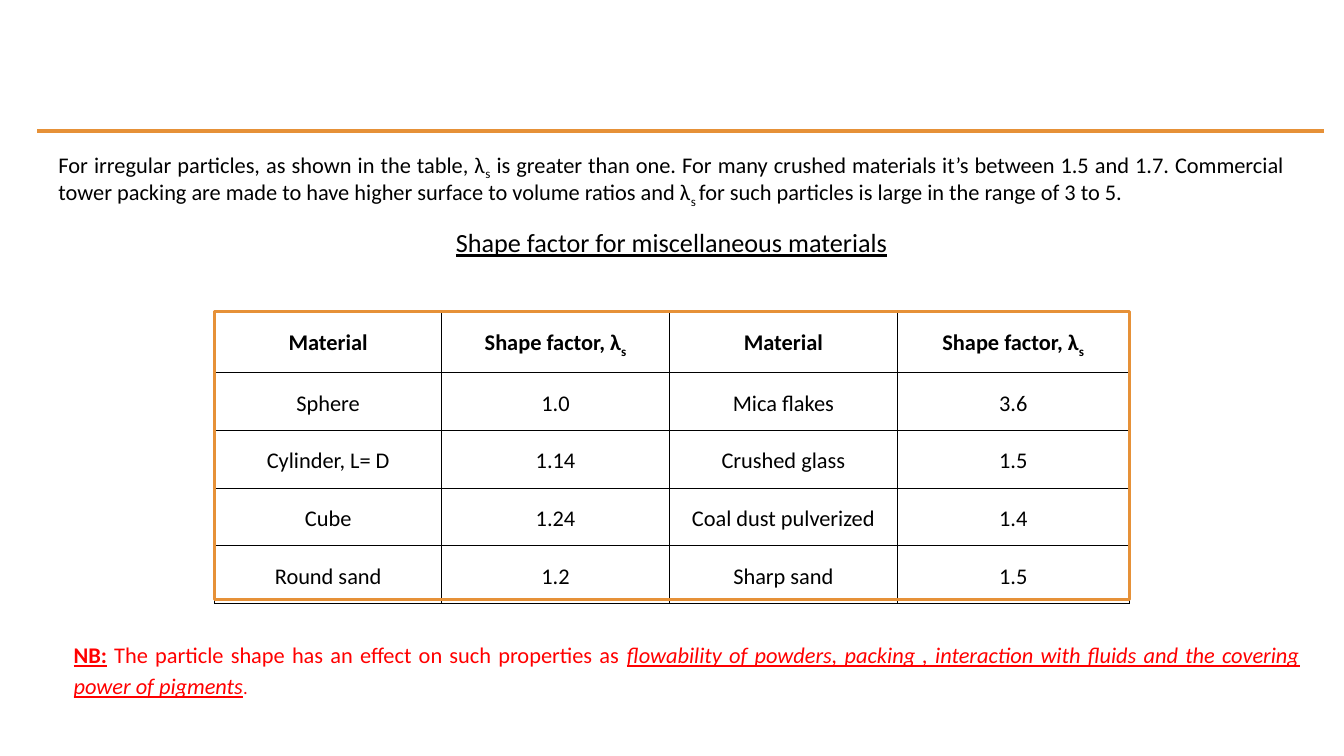
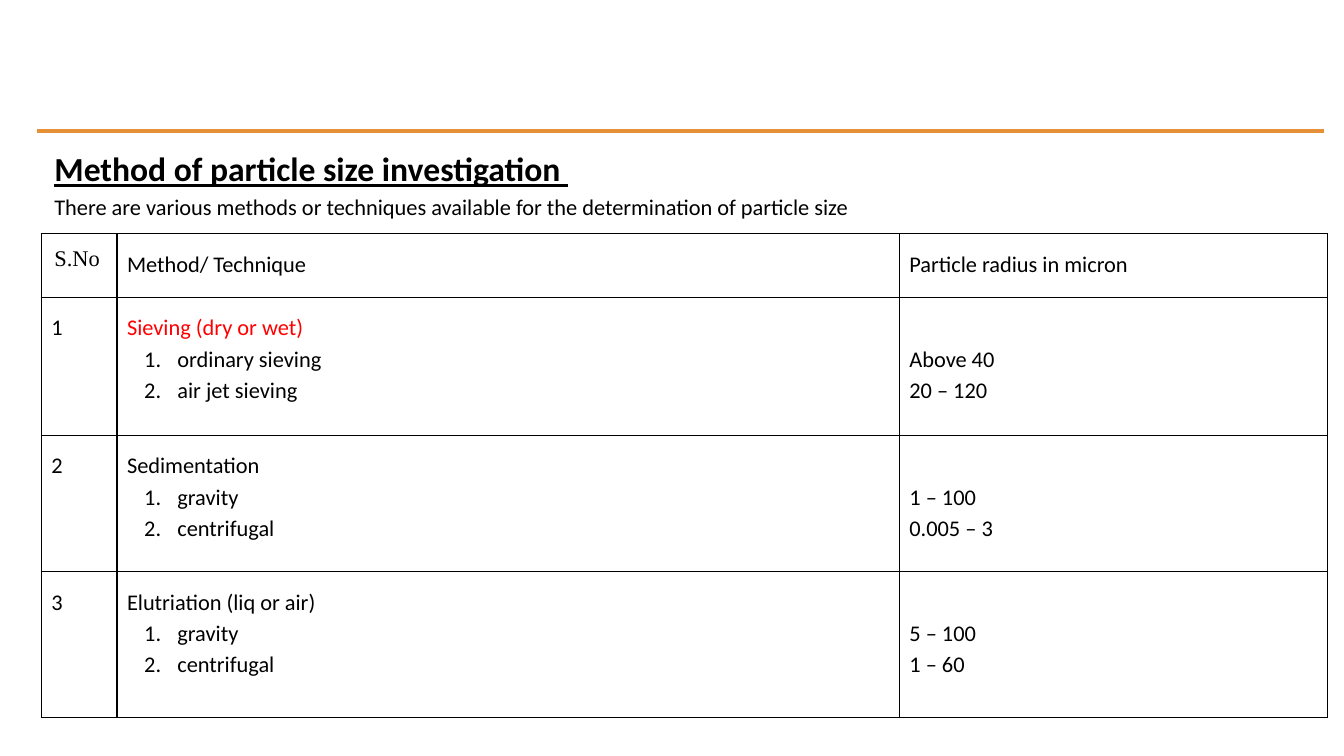
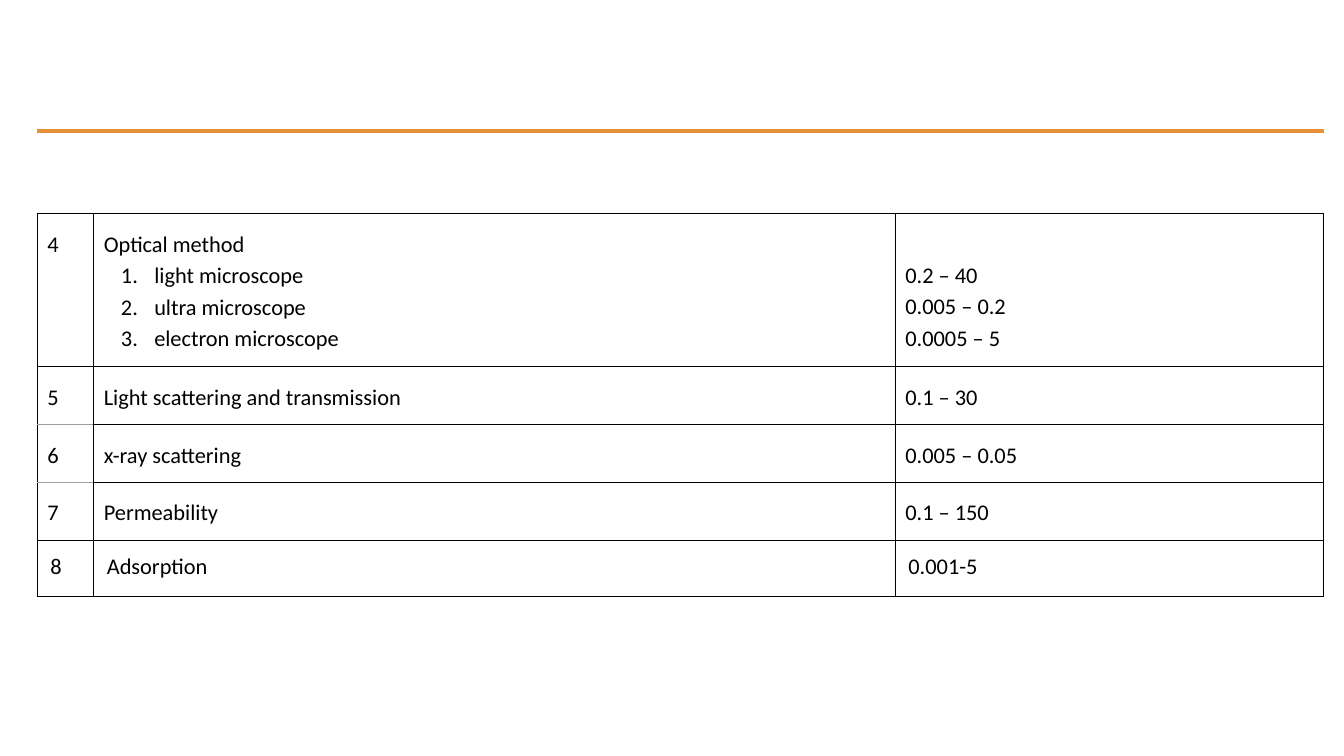
from dataclasses import dataclass, field

from lxml import etree
from pptx import Presentation
from pptx.dml.color import RGBColor
from pptx.enum import shapes, text
from pptx.oxml import ns
from pptx.util import Inches, Pt

ALIGN = text.PP_ALIGN


@dataclass(frozen=True)
class Theme:
    black: str = "000000"
    red: str = "FF0000"
    orange: str = "E69138"
    grey: str = "9E9E9E"
    font: str = "Calibri"
    serif: str = "Times New Roman"
    heading: float = 24
    caption: float = 18.7
    body: float = 16
    small: float = 13.3
    rule: float = 2.25
    inset: float = 0.13
    cell_side: float = 0.1
    spacing: float = 1.15
    body_line: float = 0.31


THEME = Theme()
SUB = {"baseline": "-25000"}


@dataclass
class Para:
    """One paragraph; each run is a string or a (string, font changes) pair."""
    runs: list
    size: float = THEME.body
    color: str = THEME.black
    font: str = THEME.font
    align: int = ALIGN.JUSTIFY
    spacing: float = THEME.spacing
    before: float = 0
    bold: bool = False
    underline: bool = False
    numbered: bool = False


@dataclass
class Cell:
    paras: list
    top: float = THEME.inset
    side: float = THEME.cell_side
    edge_colors: dict = field(default_factory=dict)


def sub_element(parent, tag, **attributes):
    return etree.SubElement(parent, ns.qn(tag), **attributes)


class Deck:
    def __init__(self, theme):
        self.theme = theme
        self.prs = Presentation()
        self.prs.slide_width, self.prs.slide_height = Inches(13.33), Inches(7.5)
        self.slide = None

    def new_slide(self, titled=False):
        """Start a slide with the shared orange rule."""
        layout = self.prs.slide_layouts[5 if titled else 6]
        self.slide = self.prs.slides.add_slide(layout)
        rule = self.slide.shapes.add_connector(
            shapes.MSO_CONNECTOR.STRAIGHT,
            *map(Inches, (0.37, 1.3, 13.13, 1.3)))
        self.outline(rule)
        sub_element(rule._element.spPr, "a:effectLst")

    def outline(self, shape):
        shape.line.color.rgb = RGBColor.from_string(self.theme.orange)
        shape.line.width = Pt(self.theme.rule)

    def set_paras(self, frame, paras):
        for i, para in enumerate(paras):
            p = frame.add_paragraph() if i else frame.paragraphs[0]
            p.alignment, p.line_spacing = para.align, para.spacing
            if para.before:
                p.space_before = Pt(para.before)
            if para.numbered:
                props = p._p.get_or_add_pPr()
                props.set("marL", str(Inches(0.5)))
                props.set("indent", str(-Inches(0.33)))
                sub_element(props, "a:buFont", typeface="+mj-lt")
                sub_element(props, "a:buAutoNum", type="arabicPeriod")
            font = p.font
            font.name, font.size = para.font, Pt(para.size)
            font.bold, font.underline = para.bold, para.underline
            font.color.rgb = RGBColor.from_string(para.color)
            for item in para.runs:
                words, changes = (item, {}) if isinstance(item, str) else item
                run = p.add_run()
                run.text = words
                self.change_font(run, **changes)

    def change_font(self, run, bold=None, italic=None, underline=None,
                    size=None, baseline=None):
        font = run.font
        font.bold, font.italic, font.underline = bold, italic, underline
        if size:
            font.size = Pt(size)
        if baseline:
            run._r.get_or_add_rPr().set("baseline", baseline)

    def fill_frame(self, frame, paras):
        frame.word_wrap = True
        frame.auto_size = text.MSO_AUTO_SIZE.NONE
        frame.vertical_anchor = text.MSO_ANCHOR.TOP
        frame.margin_left = frame.margin_right = Inches(self.theme.inset)
        frame.margin_top = frame.margin_bottom = Inches(self.theme.inset)
        self.set_paras(frame, paras)

    def title(self, box, para):
        title = self.slide.shapes.title
        title.left, title.top, title.width, title.height = map(Inches, box)
        self.fill_frame(title.text_frame, [para])

    def text(self, box, *paras):
        frame = self.slide.shapes.add_textbox(*map(Inches, box)).text_frame
        self.fill_frame(frame, paras)

    def frame(self, box):
        outline = self.slide.shapes.add_shape(
            shapes.MSO_SHAPE.RECTANGLE, *map(Inches, box))
        outline.shadow.inherit = False
        outline.fill.background()
        self.outline(outline)

    def borders(self, cell, horizontal, edge_colors):
        props = cell._tc.get_or_add_tcPr()
        for i, edge in enumerate("LRTB"):
            width = 1 if edge in "LR" else horizontal
            line = etree.Element(ns.qn(f"a:ln{edge}"), w=str(Pt(width)))
            sub_element(sub_element(line, "a:solidFill"), "a:srgbClr",
                        val=edge_colors.get(edge, self.theme.black))
            props.insert(i, line)

    def table(self, left, top, widths, heights, rows, horizontal=0.75):
        """Draw a plain ruled table; horizontal is the row line width."""
        box = (left, top, sum(widths), sum(heights))
        grid = self.slide.shapes.add_table(
            len(heights), len(widths), *map(Inches, box)).table
        grid.first_row = grid.horz_banding = False
        for column, width in zip(grid.columns, widths):
            column.width = Inches(width)
        for row, height, contents in zip(grid.rows, heights, rows):
            row.height = Inches(height)
            for cell, content in zip(row.cells, contents):
                cell.fill.background()
                cell.margin_left = cell.margin_right = Inches(content.side)
                cell.margin_top = Inches(content.top)
                cell.margin_bottom = Inches(self.theme.inset)
                self.set_paras(cell.text_frame, content.paras)
                self.borders(cell, horizontal, content.edge_colors)


def plain_cell(words, font=THEME.font):
    para = Para([words], font=font, align=ALIGN.LEFT, spacing=1)
    return Cell([para], side=THEME.inset)


def method_row(number, method, variants, ranges, color=THEME.black,
               number_edges=None):
    """Row whose size ranges line up with the numbered variants."""
    top = THEME.inset + (THEME.body_line if variants else 0)
    return [
        Cell([Para([number])], edge_colors=number_edges or {}),
        Cell([Para([method], color=color)]
             + [Para([variant], numbered=True) for variant in variants]),
        Cell([Para([size]) for size in ranges], top=top),
    ]


def shape_factors(deck):
    deck.new_slide()
    deck.text(
        (0.45, 1.37, 12.42, 1.3),
        Para(["For irregular particles, as shown in the table, λ", ("s", SUB),
              " is greater than one. For many crushed materials it’s between "
              "1.5 and 1.7. Commercial tower packing are made to have higher "
              "surface to volume ratios and λ", ("s ", SUB),
              "for such particles is large in the range of 3 to 5."],
             spacing=0.9),
        Para(["Shape factor for miscellaneous materials"], size=THEME.caption,
             align=ALIGN.CENTER, spacing=0.9, before=17, underline=True))
    header = [["Material"], ["Shape factor, λ", ("s", SUB)]] * 2
    materials = [
        ("Sphere", "1.0", "Mica flakes", "3.6"),
        ("Cylinder, L= D", "1.14", "Crushed glass", "1.5"),
        ("Cube", "1.24", "Coal dust pulverized", "1.4"),
        ("Round sand", "1.2", "Sharp sand", "1.5"),
    ]
    rows = [[Cell([Para(runs, align=ALIGN.CENTER, bold=True)])
             for runs in header]]
    rows += [[Cell([Para([value], align=ALIGN.CENTER)]) for value in material]
             for material in materials]
    deck.table(2.13, 3.09, (2.25, 2.26, 2.26, 2.3), [0.57] * 5, rows,
               horizontal=1)
    deck.text(
        (0.6, 6.19, 12.42, 0.9),
        Para([("NB:", {"bold": True, "underline": True}),
              " The particle shape has an effect on such properties as ",
              ("flowability of powders, packing , interaction with fluids and "
               "the covering power of pigments",
               {"italic": True, "underline": True}),
              (".", {"size": THEME.small})], color=THEME.red))
    deck.frame((2.13, 3.09, 9.07, 2.86))


def size_methods(deck):
    deck.new_slide(titled=True)
    deck.title((0.41, 1.28, 12.67, 0.73),
               Para(["Method of particle size investigation "],
                    size=THEME.heading, bold=True, underline=True))
    deck.text((0.41, 1.75, 12.67, 0.57),
              Para(["There are various methods or techniques available for "
                    "the determination of particle size"]))
    forces = ["gravity", "centrifugal"]
    rows = [
        [plain_cell("S.No", THEME.serif),
         Cell([Para(["Method/ Technique"])]),
         Cell([Para(["Particle radius in micron"])])],
        method_row("1", "Sieving (dry or wet)",
                   ["ordinary sieving", "air jet sieving"],
                   ["Above 40", "20 – 120"], color=THEME.red),
        method_row("2", "Sedimentation", forces, ["1 – 100", "0.005 – 3"]),
        method_row("3", "Elutriation (liq or air)", forces,
                   ["5 – 100", "1 – 60"]),
    ]
    deck.table(0.41, 2.32, (0.75, 7.76, 4.25), (0.63, 1.37, 1.35, 1.45), rows)


def more_size_methods(deck):
    deck.new_slide()
    above, below = {"T": THEME.grey}, {"B": THEME.grey}
    rows = [
        method_row("4", "Optical method",
                   ["light microscope", "ultra microscope",
                    "electron microscope"],
                   ["0.2 – 40", "0.005 – 0.2", "0.0005 – 5"]),
        method_row("5", "Light scattering and transmission", [], ["0.1 – 30"],
                   number_edges=below),
        method_row("6", "x-ray scattering", [], ["0.005 – 0.05"],
                   number_edges=above | below),
        method_row("7", "Permeability", [], ["0.1 – 150"],
                   number_edges=above),
        [plain_cell(words) for words in ("8", "Adsorption", "0.001-5")],
    ]
    deck.table(0.37, 2.12, (0.56, 7.95, 4.25), (1.52, 0.57, 0.57, 0.57, 0.56),
               rows)


def main():
    deck = Deck(THEME)
    shape_factors(deck)
    size_methods(deck)
    more_size_methods(deck)
    deck.prs.save("out.pptx")


if __name__ == "__main__":
    main()
